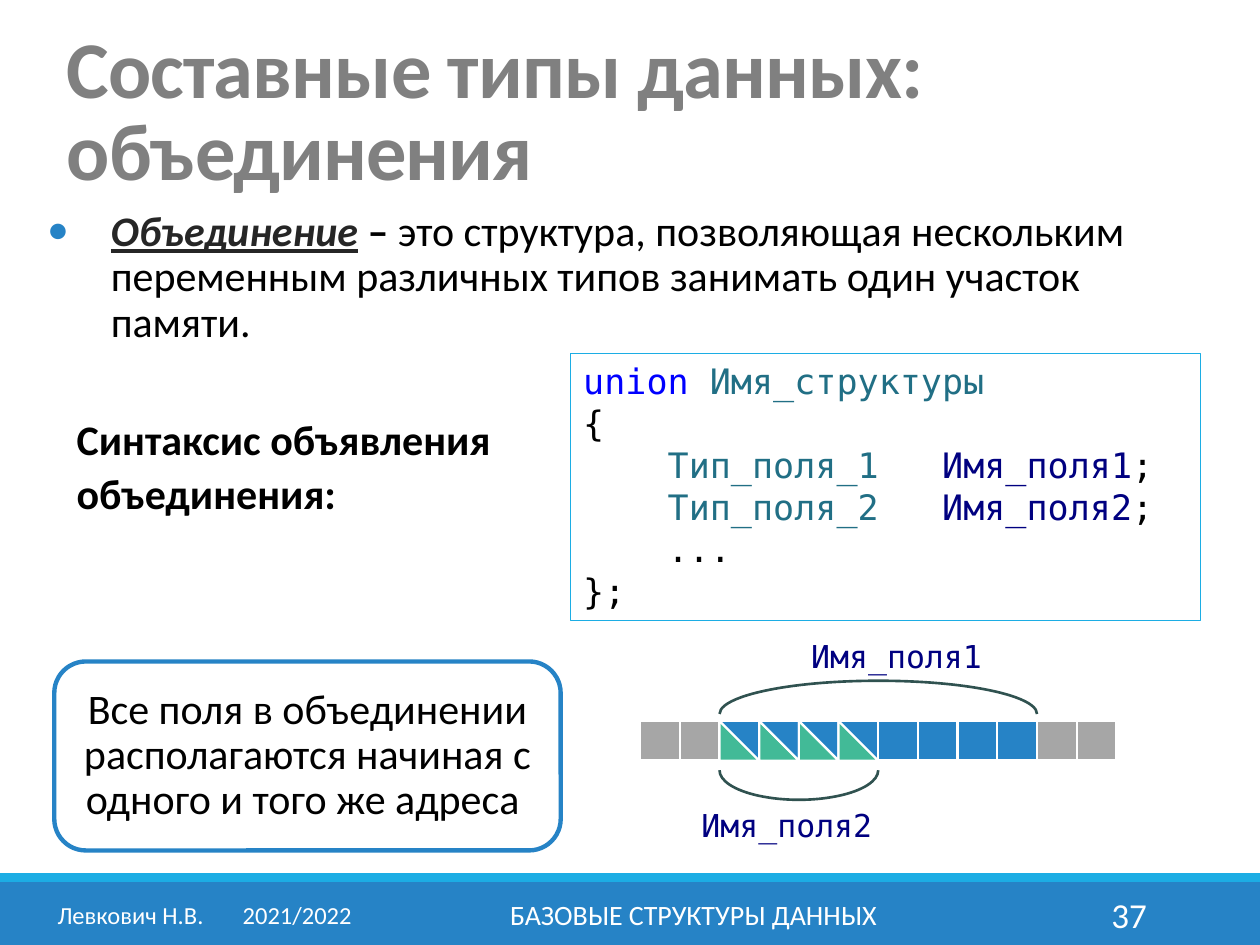
from dataclasses import dataclass

from lxml.etree import SubElement as Sub
from pptx import Presentation
from pptx.dml.color import RGBColor as RGB
from pptx.enum.shapes import MSO_SHAPE as Kind
from pptx.enum.text import MSO_ANCHOR as Anchor, PP_ALIGN as Align
from pptx.oxml.ns import qn
from pptx.util import Pt


@dataclass(frozen=True)
class Theme:
    sans: str = "Calibri"
    mono: str = "DejaVu Sans Mono"
    white: str = "FFFFFF"
    black: str = "000000"
    dark: str = "262626"
    title: str = "808080"
    blue: str = "2683C6"
    cyan: str = "1CADE4"
    green: str = "42BA97"
    gray: str = "A6A6A6"
    arc: str = "305250"
    word: str = "0000FF"
    kind: str = "216F85"
    field: str = "000080"
    huge: int = 46
    body: int = 24
    code: int = 20
    label: int = 18
    foot: int = 16
    small: int = 14


T = Theme()

deck = Presentation()
deck.slide_width, deck.slide_height = Pt(720), Pt(540)
slide = deck.slides.add_slide(deck.slide_layouts[6])


def draw(kind, x, y, w, h, fill=None, line=None, width=1.25, adj=(), flip=False):
    shape = slide.shapes.add_shape(kind, Pt(x), Pt(y), Pt(w), Pt(h))
    shape.shadow.inherit = False
    if fill:
        shape.fill.solid()
        shape.fill.fore_color.rgb = RGB.from_string(fill)
    else:
        shape.fill.background()
    if line:
        shape.line.color.rgb = RGB.from_string(line)
        shape.line.width = Pt(width)
    else:
        shape.line.fill.background()
    for i, value in enumerate(adj):
        shape.adjustments[i] = value
    if flip:
        shape._element.spPr.find(qn("a:xfrm")).set("flipV", "1")
    return shape


def write(text, at=None, shape=None, size=T.body, font=T.sans, color=T.black,
          bold=False, align=Align.LEFT, anchor=Anchor.TOP, lead=None, before=None):
    """Text is a list of paragraphs; each is a string or (text, format) runs."""
    box = shape or slide.shapes.add_textbox(*map(Pt, at))
    frame = box.text_frame
    frame.word_wrap = True
    frame.vertical_anchor = anchor
    for i, runs in enumerate(text):
        para = frame.add_paragraph() if i else frame.paragraphs[0]
        para.alignment = align
        if lead:
            para.line_spacing = lead
        if before:
            para.space_before = Pt(before)
        for words, form in [(runs, {})] if isinstance(runs, str) else runs:
            run = para.add_run()
            run.text = words
            face = run.font
            face.name, face.size = font, Pt(size)
            face.bold = form.get("bold", bold)
            face.italic = face.underline = form.get("term", False)
            face.color.rgb = RGB.from_string(form.get("color", color))
    return frame


# Footer band
draw(Kind.RECTANGLE, 0, 504, 720, 36, fill=T.blue)
draw(Kind.RECTANGLE, 0, 499, 720, 5, fill=T.cyan)
foot = {"color": T.white, "anchor": Anchor.MIDDLE}
write(["БАЗОВЫЕ СТРУКТУРЫ ДАННЫХ"], (217.4, 508.3, 357.8, 28.8),
      size=T.foot, align=Align.CENTER, **foot)
write(["37"], (584.6, 508.3, 77.8, 28.8), size=T.code, align=Align.RIGHT, **foot)
author = write(["Левкович Н.В.\t2021/2022"], (23, 508.3, 188, 28.8),
               size=T.small, align=Align.CENTER, **foot)
tabs = Sub(author.paragraphs[0]._p.get_or_add_pPr(), qn("a:tabLst"))
Sub(tabs, qn("a:tab"), pos=str(Pt(105.8)), algn="l")

# Title
title = write(["Составные типы данных: объединения"], (31, 15.1, 680.4, 71.3),
              size=T.huge, color=T.title, bold=True, lead=0.85)
title.paragraphs[0].runs[0]._r.get_or_add_rPr().set("spc", "-50")

# Definition with a round bullet
term = write([[
    ("Объединение", {"color": T.dark, "bold": True, "term": True}),
    (" ", {"color": T.dark, "bold": True}),
    ("– ", {"bold": True}),
    ("это структура, позволяющая нескольким переменным различных типов "
     "занимать один участок памяти.", {}),
]], (20.2, 116.6, 680.4, 85.7), lead=0.9, before=4.8)
props = term.paragraphs[0]._p.get_or_add_pPr()
props.set("marL", str(Pt(36)))
props.set("indent", str(-Pt(36)))
Sub(Sub(props, qn("a:buClr")), qn("a:srgbClr"), val=T.blue)
Sub(props, qn("a:buSzPct"), val="80000")
Sub(props, qn("a:buFont"), typeface=T.sans)
Sub(props, qn("a:buChar"), char="●")

# Syntax and its code
write(["Синтаксис объявления", "объединения:"], (36.7, 236.2, 277.9, 65.5),
      bold=True, lead=0.9, before=4.8)
kind, field = {"color": T.kind}, {"color": T.field}
rows = [[("    ", {}), (f"Тип_поля_{n}", kind), ("   ", {}),
         (f"Имя_поля{n}", field), (";", {})] for n in (1, 2)]
frame = draw(Kind.RECTANGLE, 326.2, 202.1, 360, 152.6, line=T.cyan, width=0.75)
write([[("union", {"color": T.word}), (" ", {}), ("Имя_структуры", kind)],
       "{", *rows, "    ...", "};"], shape=frame, size=T.code, font=T.mono)

# Memory cells: g = free, s = shared by both fields, b = first field only
left, top, step = 365.8, 412, 22.68
for i, cell in enumerate("ggssssbbbbgg"):
    place = (left + i * step, top, step, step)
    if cell == "s":
        draw(Kind.ISOSCELES_TRIANGLE, *place, fill=T.green, line=T.white, adj=[0])
        draw(Kind.ISOSCELES_TRIANGLE, *place, fill=T.blue, line=T.white,
             adj=[1], flip=True)
    else:
        draw(Kind.RECTANGLE, *place, fill=T.gray if cell == "g" else T.blue,
             line=T.white)

# Arcs over the cells of each field, and their names
start = left + 2 * step
for name, count, y, high, flip, x, low in [
    ("Имя_поля1", 8, 389, 38, False, 456.5, 360.7),
    ("Имя_поля2", 4, 423.3, 33.8, True, 393.8, 457.2),
]:
    draw(Kind.ARC, start, y, count * step, high, line=T.arc, width=1.5,
         adj=[108, 0], flip=flip)
    write([name], (x, low, 124.6, 28.8), size=T.label, font=T.mono, color=T.field)

# Remark
note = draw(Kind.ROUNDED_RECTANGLE, 31, 378, 289.4, 108, fill=T.white,
            line=T.blue, width=2.5)
write(["Все поля в объединении располагаются начиная с одного и того же адреса "],
      shape=note, align=Align.CENTER, anchor=Anchor.MIDDLE, lead=0.9, before=4.8)

deck.save("out.pptx")
